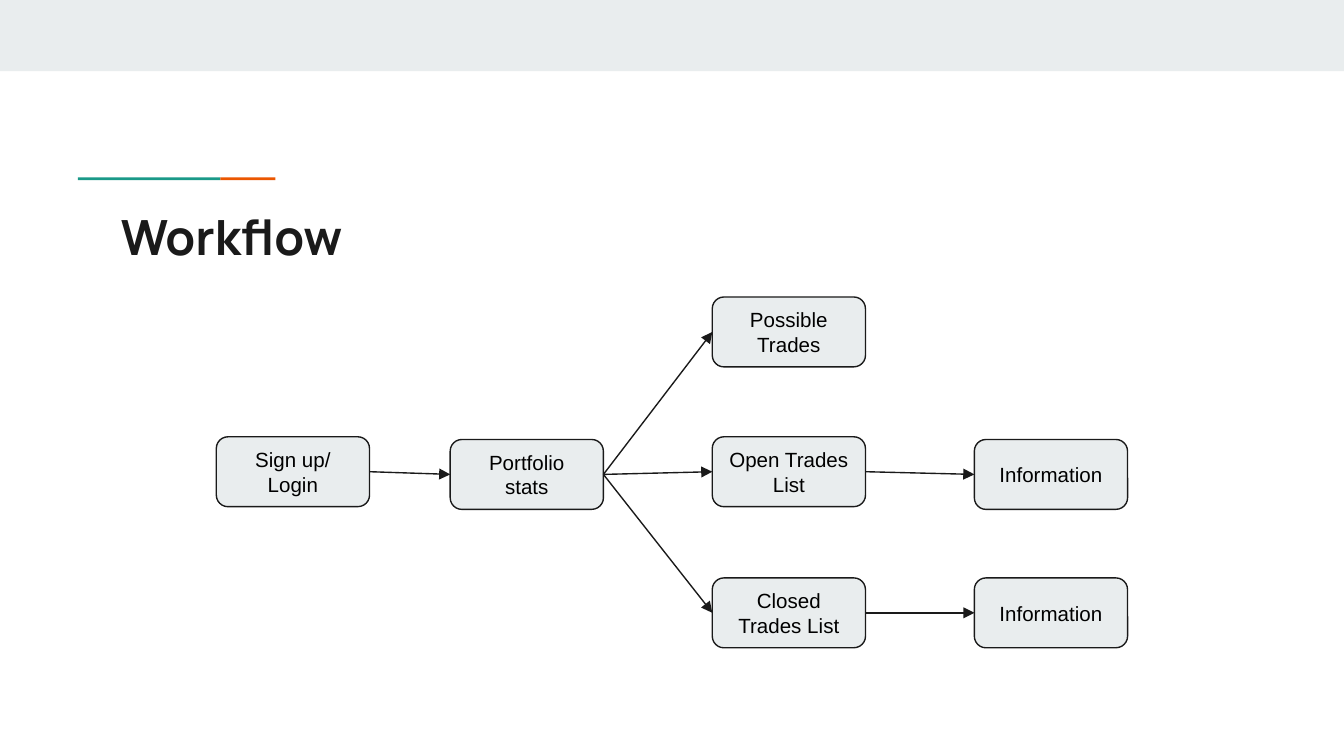
from lxml.etree import SubElement
from pptx import Presentation
from pptx.dml.color import RGBColor
from pptx.enum.shapes import MSO_CONNECTOR, MSO_SHAPE
from pptx.enum.text import MSO_ANCHOR, MSO_AUTO_SIZE, PP_ALIGN
from pptx.oxml.ns import qn
from pptx.util import Inches, Pt

SLIDE_W = 10
SLIDE_H = SLIDE_W * 9 / 16
INK, PALE, TEAL, ORANGE = "1A1A1A", "E9EDEE", "1A9988", "EB5600"

COLUMNS = [1.61, 3.35, 5.3, 7.25]
ROWS = [2.21, 3.25, 4.3]
NODE_W, NODE_H = 1.14, 0.52
RIGHT, LEFT = 3, 1

# name: (text, column, row, vertical nudge)
NODES = {
    "login": ("Sign up/ Login", 0, 1, 0),
    "stats": ("Portfolio stats", 1, 1, 0.02),
    "possible": ("Possible Trades", 2, 0, 0),
    "open": ("Open Trades List", 2, 1, 0),
    "closed": ("Closed Trades List", 2, 2, 0),
    "open info": ("Information", 3, 1, 0.02),
    "closed info": ("Information", 3, 2, 0),
}
LINKS = [
    ("login", "stats"),
    ("stats", "possible"),
    ("stats", "open"),
    ("stats", "closed"),
    ("open", "open info"),
    ("closed", "closed info"),
]


def color(value):
    return RGBColor.from_string(value)


def set_frame(tf, anchor):
    tf.word_wrap = True
    tf.auto_size = MSO_AUTO_SIZE.NONE
    tf.vertical_anchor = anchor
    tf.margin_left = tf.margin_right = Inches(0.1)
    tf.margin_top = tf.margin_bottom = Inches(0.1)


def set_text(tf, text, font, size, ink, align, bold=False):
    tf.text = text
    p = tf.paragraphs[0]
    p.alignment = align
    p.font.name = font
    p.font.size = Pt(size)
    p.font.bold = bold
    p.font.color.rgb = color(ink)


def add_box(s, kind, left, top, width, height, fill):
    sp = s.shapes.add_shape(kind, Inches(left), Inches(top),
                            Inches(width), Inches(height))
    sp.shadow.inherit = False
    sp.fill.solid()
    sp.fill.fore_color.rgb = color(fill)
    sp.line.fill.background()
    return sp


def add_title(s, text):
    title = s.shapes.title
    title.left, title.top = Inches(0.8), Inches(1.44)
    title.width, title.height = Inches(8.41), Inches(0.59)
    set_frame(title.text_frame, MSO_ANCHOR.TOP)
    set_text(title.text_frame, text, "Manrope", 26, INK, PP_ALIGN.LEFT, bold=True)


def add_node(s, text, column, row, nudge):
    sp = add_box(s, MSO_SHAPE.ROUNDED_RECTANGLE, COLUMNS[column],
                 ROWS[row] + nudge, NODE_W, NODE_H, PALE)
    sp.line.color.rgb = color(INK)
    sp.line.width = Pt(0.75)
    set_frame(sp.text_frame, MSO_ANCHOR.MIDDLE)
    set_text(sp.text_frame, text, "Arial", 11, "000000", PP_ALIGN.CENTER)
    return sp


def add_arrow(s, source, target):
    arrow = s.shapes.add_connector(MSO_CONNECTOR.STRAIGHT, 0, 0, 0, 0)
    arrow.begin_connect(source, RIGHT)
    arrow.end_connect(target, LEFT)
    arrow.line.color.rgb = color(INK)
    arrow.line.width = Pt(0.75)
    ln = arrow._element.spPr.find(qn("a:ln"))
    SubElement(ln, qn("a:tailEnd"), type="triangle")
    SubElement(arrow._element.spPr, qn("a:effectLst"))


def main():
    prs = Presentation()
    prs.slide_width, prs.slide_height = Inches(SLIDE_W), Inches(SLIDE_H)
    s = prs.slides.add_slide(prs.slide_layouts[5])

    add_box(s, MSO_SHAPE.RECTANGLE, 0, 0, SLIDE_W, 0.53, PALE)
    add_box(s, MSO_SHAPE.RECTANGLE, 0.58, 1.32, 1.06, 0.02, TEAL)
    add_box(s, MSO_SHAPE.RECTANGLE, 1.64, 1.32, 0.41, 0.02, ORANGE)
    add_title(s, "Workflow")

    nodes = {name: add_node(s, *node) for name, node in NODES.items()}
    for source, target in LINKS:
        add_arrow(s, nodes[source], nodes[target])

    prs.save("out.pptx")


if __name__ == "__main__":
    main()
